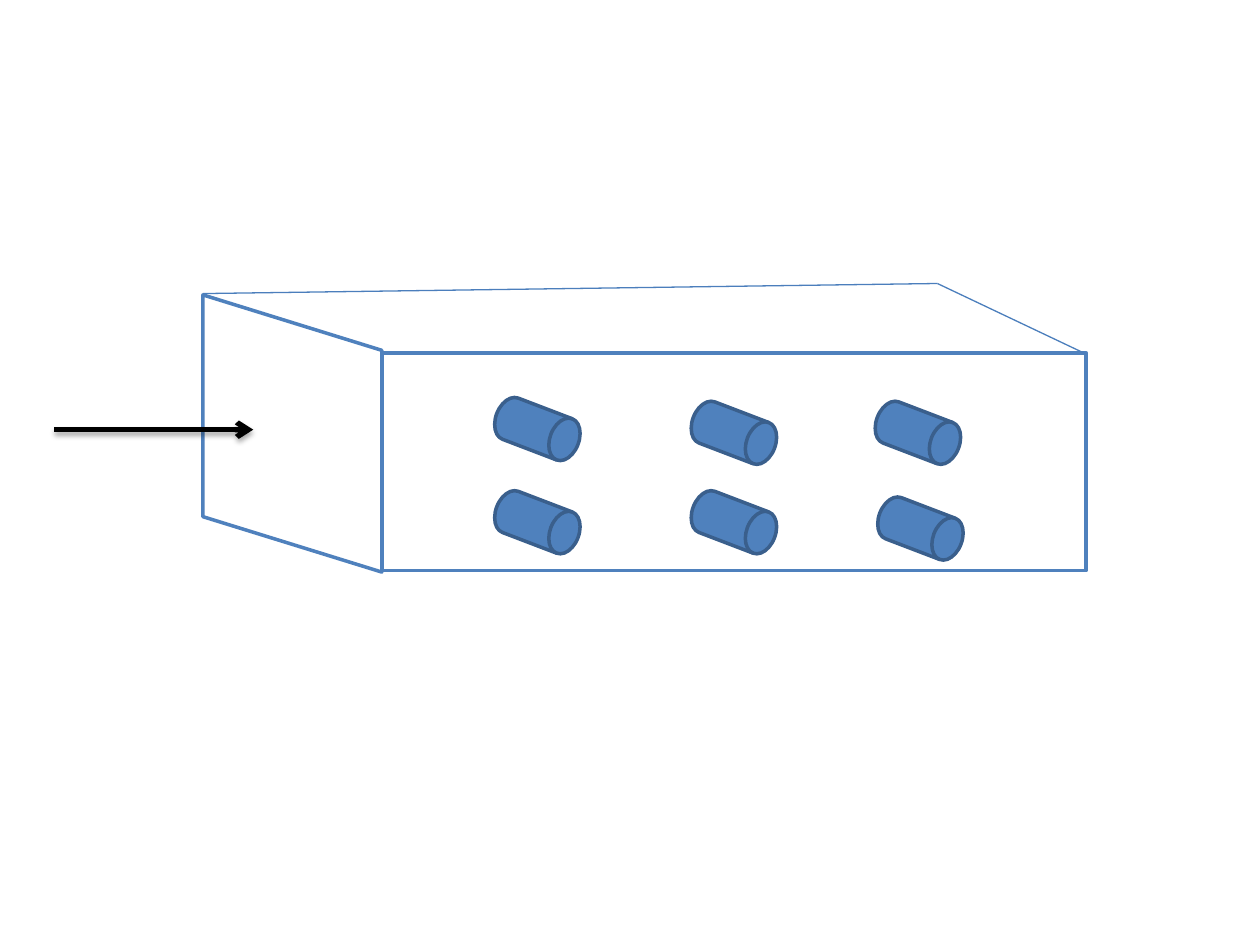
from lxml import etree
from pptx import Presentation
from pptx import util as u
from pptx.dml.color import RGBColor
from pptx.enum import shapes as s
from pptx.oxml.ns import qn

BLUE, EDGE, DARK = "4F81BD", "4B7EBC", "3A5F8C"
WHITE, BLACK = "FFFFFF", "000000"


def color(fmt, hue):
    fmt.solid()
    fmt.fore_color.rgb = RGBColor.from_string(hue)


def solid(slide, kind, box, fill, line, turn=0):
    shape = slide.shapes.add_shape(kind, *map(u.Inches, box))
    shape.rotation = turn
    shape.shadow.inherit = False
    color(shape.fill, fill)
    color(shape.line.fill, line)
    shape.line.width = u.Pt(2)


def stroke(slide, start, end, hue, width):
    """Draw a straight line; return it with its empty effect list."""
    line = slide.shapes.add_connector(
        s.MSO_CONNECTOR.STRAIGHT, *map(u.Inches, start + end))
    color(line.line.fill, hue)
    line.line.width = u.Pt(width)
    return line, etree.SubElement(line._element.spPr, qn("a:effectLst"))


def arrow(slide, start, end):
    line, effects = stroke(slide, start, end, BLACK, 3)
    etree.SubElement(line.line._get_or_add_ln(), qn("a:tailEnd"), type="arrow")
    # Soft shadow straight below the arrow
    shadow = etree.SubElement(
        effects, qn("a:outerShdw"), blurRad=str(u.Pt(3.1)),
        dist=str(u.Pt(1.8)), dir="5400000", rotWithShape="0")
    hue = etree.SubElement(shadow, qn("a:srgbClr"), val=BLACK)
    etree.SubElement(hue, qn("a:alpha"), val="35000")


def main():
    deck = Presentation()
    deck.slide_width, deck.slide_height = u.Inches(10), u.Inches(7.5)
    slide = deck.slides.add_slide(deck.slide_layouts[6])
    kind = s.MSO_SHAPE

    # Box: front, left side, then the two far edges of its top
    solid(slide, kind.RECTANGLE, (3.03, 2.8, 5.59, 1.73), WHITE, BLUE)
    solid(slide, kind.FLOWCHART_DATA, (1.22, 2.73, 2.2, 1.42),
          WHITE, BLUE, 270)
    back = (7.44, 2.25)
    stroke(slide, (1.61, 2.33), back, EDGE, 0.75)
    stroke(slide, back, (8.62, 2.81), EDGE, 0.75)

    # Two rows of tilted drums
    drums = [(3.92, 3.23), (5.48, 3.26), (3.92, 3.97),
             (5.48, 3.97), (6.94, 3.26), (6.96, 4.02)]
    for spot in drums:
        solid(slide, kind.FLOWCHART_DIRECT_ACCESS_STORAGE,
              spot + (0.69, 0.35), BLUE, DARK, 20.9)

    # Arrow into the left side
    arrow(slide, (0.43, 3.41), (2.01, 3.41))

    deck.save("out.pptx")


if __name__ == "__main__":
    main()
